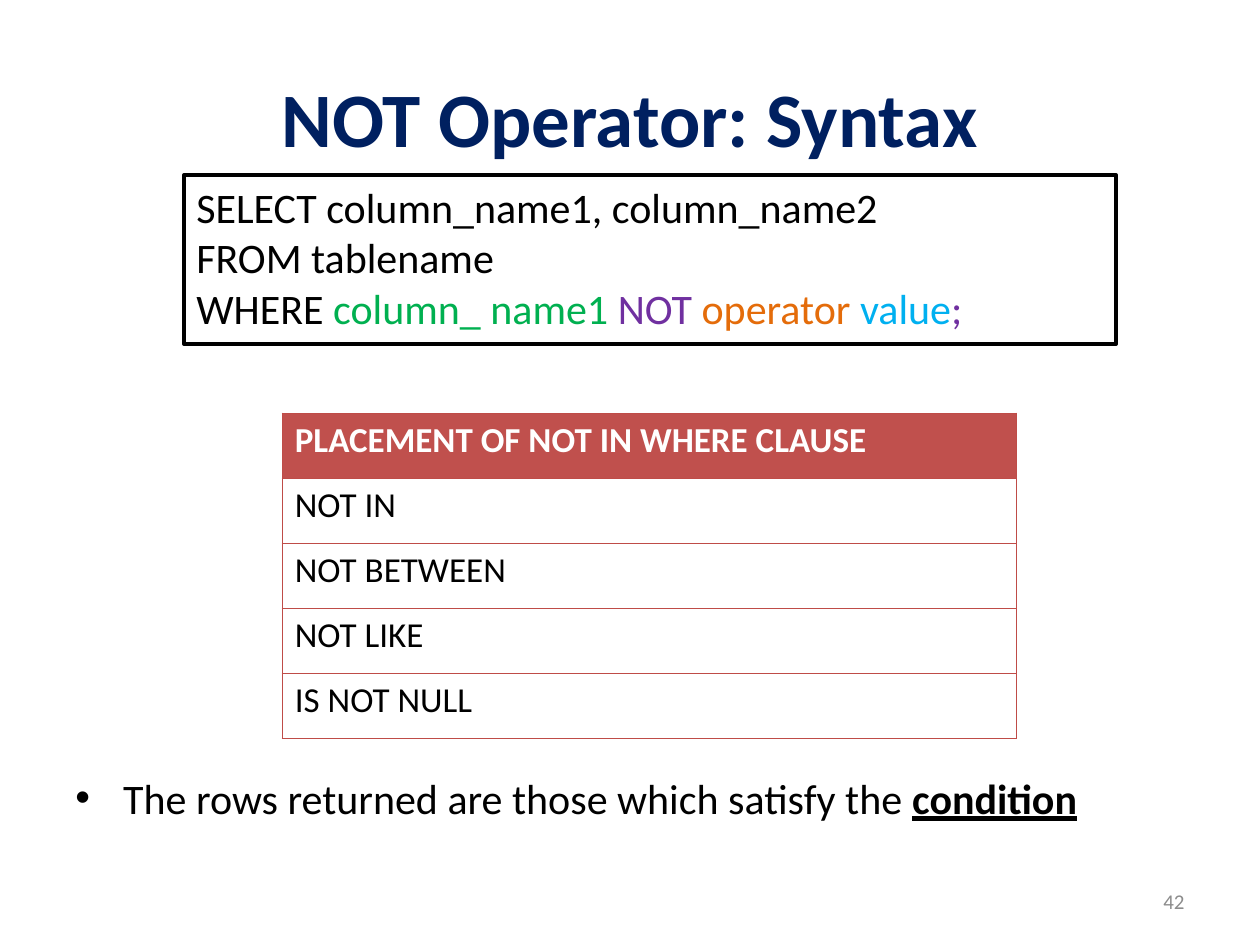
from dataclasses import dataclass

from lxml.etree import SubElement
from pptx import Presentation
from pptx.dml.color import RGBColor
from pptx.enum.shapes import MSO_SHAPE
from pptx.enum.text import MSO_ANCHOR as Anchor, PP_ALIGN as Align
from pptx.oxml.ns import qn
from pptx.util import Inches, Pt


@dataclass(frozen=True)
class Theme:
    font: str = "Calibri"
    navy: str = "002060"
    black: str = "000000"
    white: str = "FFFFFF"
    gray: str = "8C8C8C"
    green: str = "00B050"
    purple: str = "7030A0"
    orange: str = "E46C0A"
    sky: str = "00B0F0"
    header: str = "C0504D"
    border: str = "BF4C48"
    title_size: int = 44
    body_size: int = 24
    table_size: int = 20
    number_size: int = 12


THEME = Theme()


def add_bullet(paragraph, indent):
    properties = paragraph._p.get_or_add_pPr()
    properties.set("marL", str(indent))
    properties.set("indent", str(-indent))
    SubElement(properties, qn("a:buFont"), typeface="Arial")
    SubElement(properties, qn("a:buChar"), char="•")


def write_text(frame, lines, size, color=THEME.black, bold=False,
               align=Align.LEFT, anchor=Anchor.TOP, bullet_indent=None):
    frame.word_wrap = True
    frame.vertical_anchor = anchor
    for index, line in enumerate(lines):
        paragraph = frame.add_paragraph() if index else frame.paragraphs[0]
        paragraph.alignment = align
        if bullet_indent is not None:
            add_bullet(paragraph, bullet_indent)
        for text, changes in [(line, {})] if isinstance(line, str) else line:
            run = paragraph.add_run()
            run.text = text
            font = run.font
            font.name = THEME.font
            font.size = Pt(size)
            font.bold = changes.get("bold", bold)
            font.underline = changes.get("underline", False)
            font.color.rgb = RGBColor.from_string(changes.get("color", color))


def add_text(slide, box, lines, **text_format):
    shape = slide.shapes.add_textbox(*box)
    write_text(shape.text_frame, lines, **text_format)


def add_syntax(slide, box, lines):
    shape = slide.shapes.add_shape(MSO_SHAPE.RECTANGLE, *box)
    shape.shadow.inherit = False
    shape.fill.background()
    shape.line.color.rgb = RGBColor.from_string(THEME.black)
    shape.line.width = Pt(2)
    write_text(shape.text_frame, lines, size=THEME.body_size)


def add_cell_borders(cell):
    properties = cell._tc.get_or_add_tcPr()
    for position, side in enumerate(("lnL", "lnR", "lnT", "lnB")):
        line = properties.makeelement(qn(f"a:{side}"), {"w": str(Pt(0.75))})
        fill = SubElement(line, qn("a:solidFill"))
        SubElement(fill, qn("a:srgbClr"), val=THEME.border)
        properties.insert(position, line)


def add_placement_table(slide, box, rows):
    table = slide.shapes.add_table(len(rows), 1, *box).table
    table.horz_banding = False
    for index, text in enumerate(rows):
        cell = table.cell(index, 0)
        is_header = index == 0
        if is_header:
            cell.fill.solid()
            cell.fill.fore_color.rgb = RGBColor.from_string(THEME.header)
        else:
            cell.fill.background()
        add_cell_borders(cell)
        write_text(cell.text_frame, [text], size=THEME.table_size, bold=is_header,
                   color=THEME.white if is_header else THEME.black)


def inches(*lengths):
    return [Inches(length) for length in lengths]


def build_slide(slide):
    add_text(slide, inches(0.5, 0.3, 9, 1.25), ["NOT Operator: Syntax"],
             size=THEME.title_size, color=THEME.navy, bold=True,
             align=Align.CENTER, anchor=Anchor.MIDDLE)
    add_text(slide, inches(0.5, 6.08, 9, 0.62),
             [[("The rows returned are those which satisfy the ", {}),
               ("condition", {"bold": True, "underline": True})]],
             size=THEME.body_size, align=Align.JUSTIFY, bullet_indent=Inches(0.38))
    add_text(slide, inches(7.17, 6.95, 2.33, 0.4), ["42"], size=THEME.number_size,
             color=THEME.gray, align=Align.RIGHT, anchor=Anchor.MIDDLE)
    add_syntax(slide, inches(1.46, 1.39, 7.4, 1.34), [
        "SELECT column_name1, column_name2",
        "FROM tablename",
        [("WHERE ", {}),
         ("column_ name1 ", {"color": THEME.green}),
         ("NOT ", {"color": THEME.purple}),
         ("operator ", {"color": THEME.orange}),
         ("value", {"color": THEME.sky}),
         (";", {"color": THEME.purple})],
    ])
    add_placement_table(slide, inches(2.24, 3.28, 5.83, 2.58), [
        "PLACEMENT OF NOT IN WHERE CLAUSE",
        "NOT IN",
        "NOT BETWEEN",
        "NOT LIKE",
        "IS NOT NULL",
    ])


def main():
    presentation = Presentation()
    presentation.slide_width = Inches(10)
    presentation.slide_height = Inches(7.5)
    build_slide(presentation.slides.add_slide(presentation.slide_layouts[6]))
    presentation.save("out.pptx")


if __name__ == "__main__":
    main()
